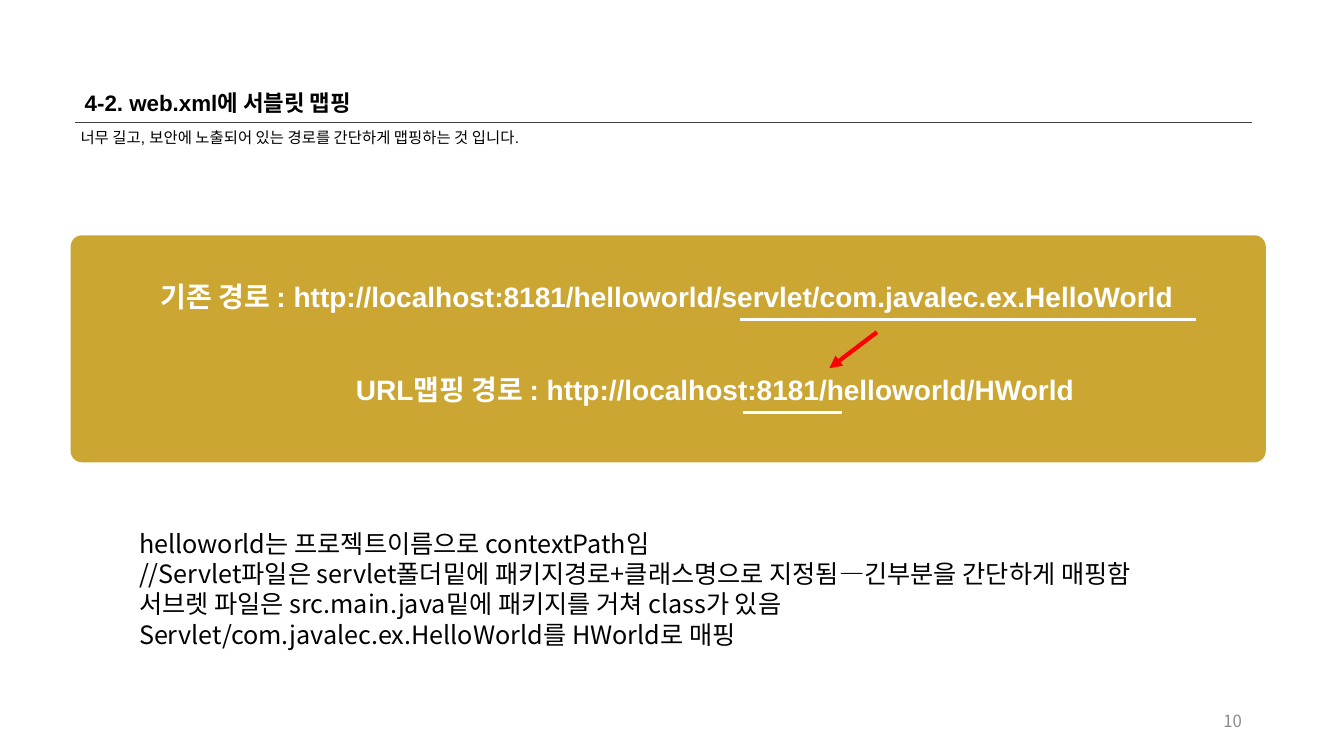
from lxml.etree import SubElement
from pptx import Presentation
from pptx.dml.color import RGBColor
from pptx.enum.shapes import MSO_CONNECTOR, MSO_SHAPE
from pptx.enum.text import MSO_ANCHOR, MSO_AUTO_SIZE, PP_ALIGN
from pptx.oxml.ns import qn
from pptx.util import Cm, Pt

GOLD = RGBColor(0xBF, 0x90, 0x00)
BLACK = RGBColor(0x00, 0x00, 0x00)
WHITE = RGBColor(0xFF, 0xFF, 0xFF)
RED = RGBColor(0xFF, 0x00, 0x00)
DARK_GRAY = RGBColor(0x40, 0x40, 0x40)
LIGHT_GRAY = RGBColor(0x8C, 0x8C, 0x8C)
KOREAN_FONT = "Noto Sans CJK KR"


def place(shape, left, top, width, height):
    shape.left, shape.top = Cm(left), Cm(top)
    shape.width, shape.height = Cm(width), Cm(height)


def write_text(shape, text, size, font="Arial", color=BLACK, bold=False,
               align=PP_ALIGN.LEFT, anchor=MSO_ANCHOR.TOP,
               auto_size=MSO_AUTO_SIZE.SHAPE_TO_FIT_TEXT):
    """Write text: \\n starts a paragraph, \\v breaks a line."""
    frame = shape.text_frame
    frame.word_wrap = True
    frame.auto_size = auto_size
    frame.vertical_anchor = anchor
    frame.text = text
    for paragraph in frame.paragraphs:
        properties = paragraph._p.get_or_add_pPr()
        properties.set("marL", "0")
        properties.set("indent", "0")
        SubElement(properties, qn("a:buNone"))
        paragraph.alignment = align
        paragraph.space_before = Pt(0)
        for run in paragraph.runs:
            run.font.name = font
            run.font.size = Pt(size)
            run.font.bold = bold
            run.font.color.rgb = color
            east_asian = SubElement(run._r.get_or_add_rPr(), qn("a:ea"))
            east_asian.set("typeface", KOREAN_FONT)


def add_text(slide, box, text, size, **text_format):
    shape = slide.shapes.add_textbox(0, 0, 0, 0)
    place(shape, *box)
    write_text(shape, text, size, **text_format)


def add_line(slide, start, end, color, width, arrow=False):
    line = slide.shapes.add_connector(
        MSO_CONNECTOR.STRAIGHT, *[Cm(value) for value in start + end])
    line.line.color.rgb = color
    line.line.width = Pt(width)
    if arrow:
        SubElement(line.line._get_or_add_ln(), qn("a:tailEnd"), type="triangle")
    SubElement(line._element.spPr, qn("a:effectLst"))


def add_panel(slide, box):
    panel = slide.shapes.add_shape(MSO_SHAPE.ROUNDED_RECTANGLE, 0, 0, 0, 0)
    place(panel, *box)
    panel.adjustments[0] = 0.05
    panel.shadow.inherit = False
    panel.fill.solid()
    panel.fill.fore_color.rgb = GOLD
    color = panel._element.spPr.find(qn("a:solidFill"))[0]
    SubElement(color, qn("a:alpha"), val="80000")
    panel.line.fill.background()


def main():
    presentation = Presentation()
    presentation.slide_width = Cm(33.87)
    presentation.slide_height = Cm(19.05)
    slide = presentation.slides.add_slide(presentation.slide_layouts[1])

    # Heading
    title = slide.shapes.title
    place(title, 1.88, 2.11, 29.67, 0.94)
    write_text(title, "4-2. web.xml에 서블릿 맵핑", 16, bold=True)
    add_line(slide, (1.88, 3.08), (31.55, 3.08), DARK_GRAY, 1)
    add_text(slide, (1.78, 3.1, 29.77, 0.73),
             "너무 길고, 보안에 노출되어 있는 경로를 간단하게 맵핑하는 것 입니다.", 11)

    # Old and mapped paths
    add_panel(slide, (1.78, 5.93, 30.12, 5.72))
    path_format = {"color": WHITE, "bold": True, "align": PP_ALIGN.CENTER}
    add_text(slide, (1.98, 6.93, 29.67, 1.11),
             "기존 경로 : http://localhost:8181/helloworld/servlet/com.javalec.ex.HelloWorld",
             20, **path_format)
    add_text(slide, (8.03, 9.27, 19.99, 1.11),
             "URL맵핑 경로 : http://localhost:8181/helloworld/HWorld",
             20, **path_format)
    add_line(slide, (18.64, 8.06), (30.15, 8.06), WHITE, 2)
    add_line(slide, (18.72, 10.4), (21.21, 10.4), WHITE, 2)
    add_line(slide, (22.1, 8.37), (20.9, 9.28), RED, 3, arrow=True)

    # Explanation
    body = slide.placeholders[1]
    place(body, 3.25, 13.18, 27.66, 3.33)
    write_text(body,
               "helloworld는 프로젝트이름으로 contextPath임\n"
               "//Servlet파일은 servlet폴더밑에 패키지경로+클래스명으로 지정됨—긴부분을 간단하게 매핑함\v"
               "서브렛 파일은 src.main.java밑에 패키지를 거쳐 class가 있음\n"
               "Servlet/com.javalec.ex.HelloWorld를 HWorld로 매핑",
               18, font=KOREAN_FONT)

    # Page number
    add_text(slide, (23.93, 17.65, 7.62, 1.02), "10", 12, font=KOREAN_FONT,
             color=LIGHT_GRAY, align=PP_ALIGN.RIGHT, anchor=MSO_ANCHOR.MIDDLE,
             auto_size=MSO_AUTO_SIZE.NONE)

    presentation.save("out.pptx")


if __name__ == "__main__":
    main()
